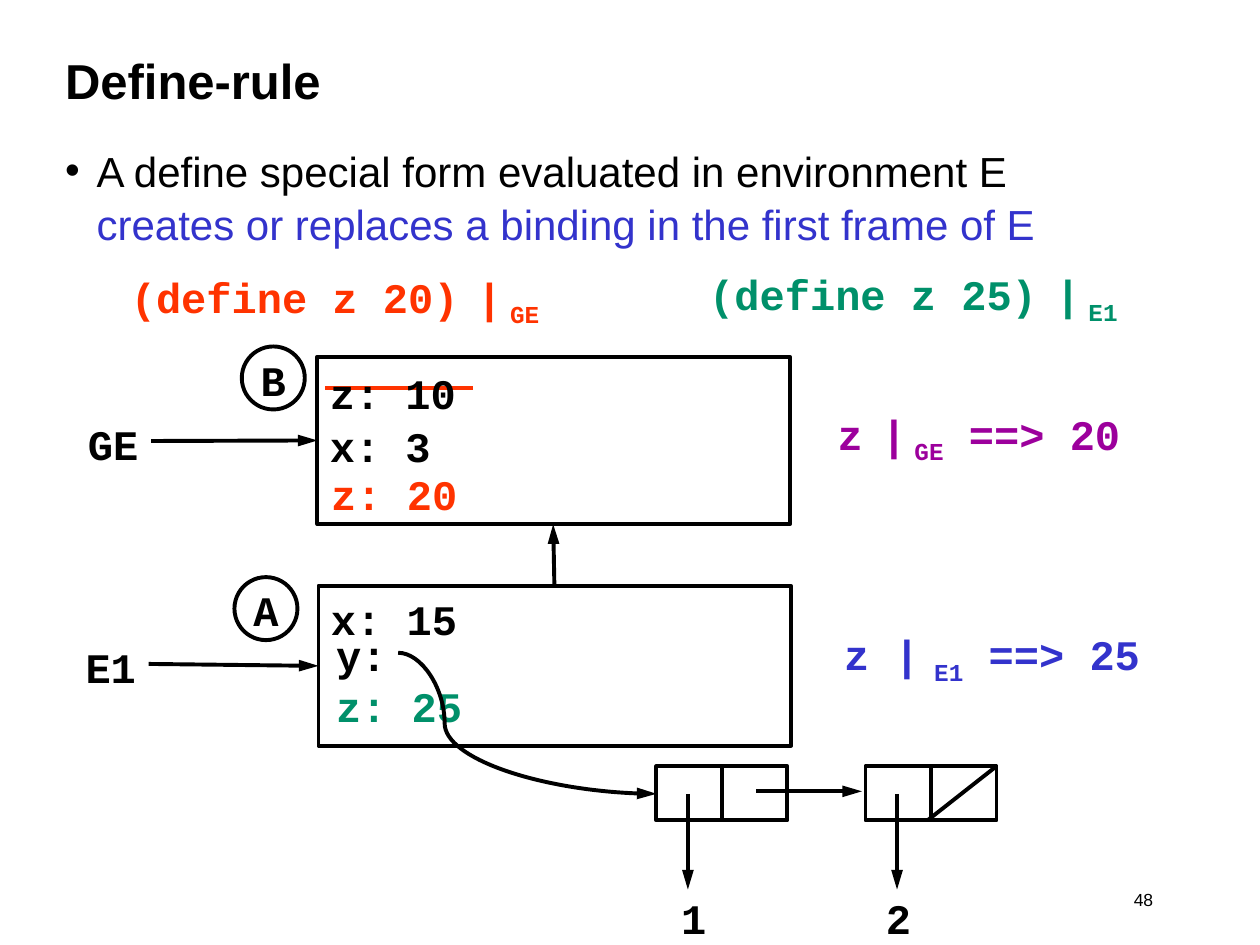
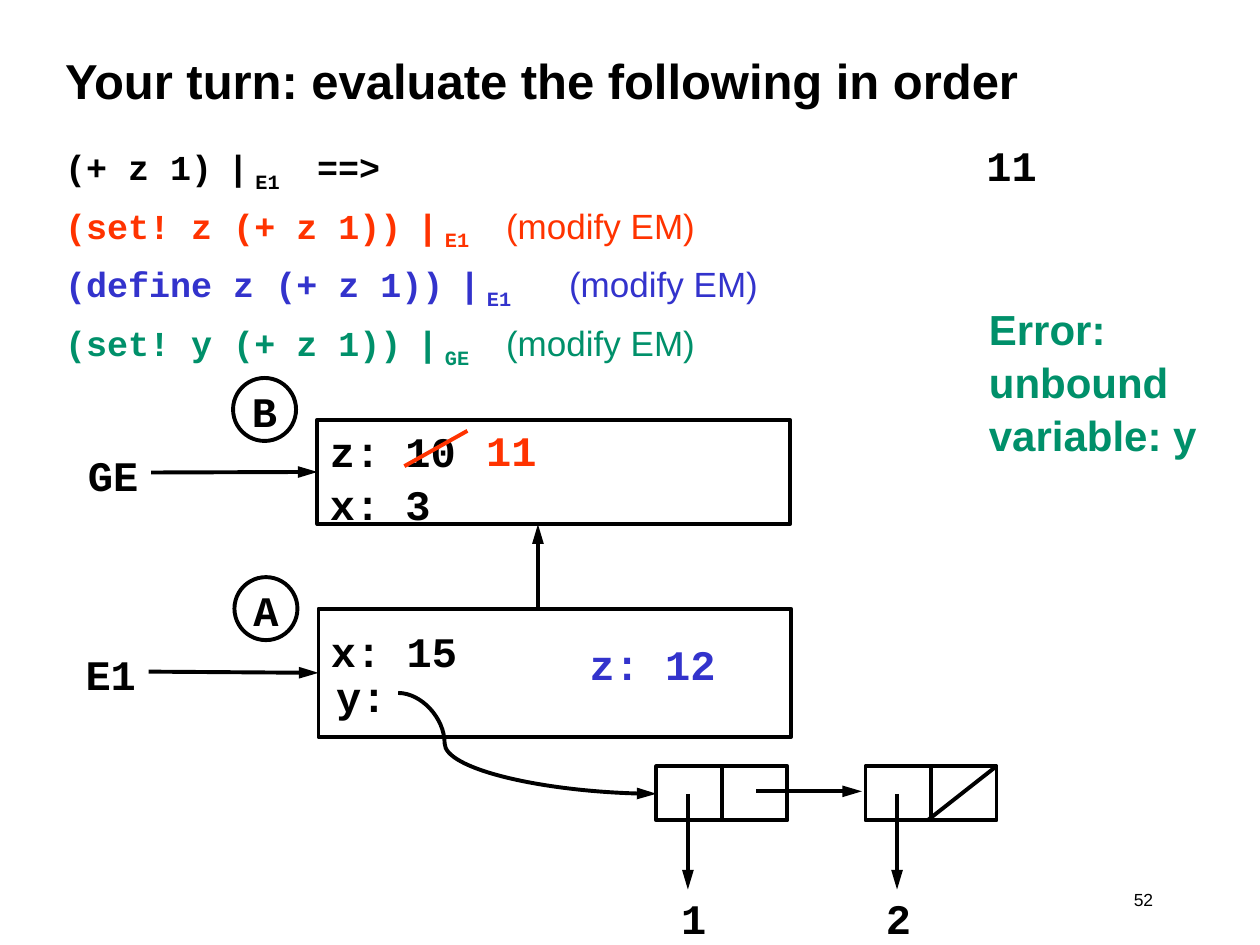
from dataclasses import dataclass

from lxml.etree import SubElement
from pptx import Presentation
from pptx.dml.color import RGBColor
from pptx.enum.shapes import MSO_CONNECTOR as Connector, MSO_SHAPE as Preset
from pptx.enum.text import MSO_ANCHOR as Anchor, MSO_AUTO_SIZE as AutoSize, PP_ALIGN as Align
from pptx.oxml.ns import qn
from pptx.util import Pt


@dataclass(frozen=True)
class Theme:
    sans: str = "Arial"
    mono: str = "Courier New"
    black: str = "000000"
    blue: str = "3333CC"
    red: str = "FF3300"
    green: str = "00906A"
    purple: str = "9C009C"
    title_size: float = 28
    text_size: float = 24
    code_size: float = 20
    number_size: float = 10
    line_width: float = 2.25
    line_spacing: float = 1.05


THEME = Theme()
LABEL_HEIGHT = 36
FRAME_WIDTH = 270
PAIR_WIDTH, PAIR_HEIGHT, PAIR_TOP = 74.9, 31, 437.8
FIRST_PAIR, SECOND_PAIR = 375.1, 494.6


@dataclass(frozen=True)
class Run:
    text: str
    font: str = None
    color: str = None
    bold: bool = None
    subscript: bool = False


def rgb(color):
    return RGBColor.from_string(color)


def evaluated(code, environment, rest=(), bar_font=THEME.sans):
    return [Run(code), Run("|", bar_font), Run(f" {environment}", subscript=True), *rest]


def write(paragraph, runs, color=THEME.black, font=THEME.mono, size=THEME.text_size,
          bold=True, align=Align.LEFT):
    paragraph.alignment = align
    paragraph.line_spacing = THEME.line_spacing
    paragraph.font.name = font
    paragraph.font.size = Pt(size)
    paragraph.font.bold = bold
    paragraph.font.color.rgb = rgb(color)
    for item in [Run(runs)] if isinstance(runs, str) else runs:
        run = paragraph.add_run()
        run.text = item.text
        if item.font:
            run.font.name = item.font
        if item.color:
            run.font.color.rgb = rgb(item.color)
        if item.bold is not None:
            run.font.bold = item.bold
        if item.subscript:
            run._r.get_or_add_rPr().set("baseline", "-25000")


def write_lines(text_frame, lines, **style):
    for index, line in enumerate(lines):
        paragraph = text_frame.add_paragraph() if index else text_frame.paragraphs[0]
        write(paragraph, line, **style)


def place(shape, left, top, width, height):
    shape.left, shape.top, shape.width, shape.height = map(Pt, (left, top, width, height))


def add_label(slide, lines, left, top, width, height=LABEL_HEIGHT, wrap=False,
              anchor=Anchor.TOP, **style):
    shape = slide.shapes.add_textbox(*map(Pt, (left, top, width, height)))
    shape.text_frame.word_wrap = wrap
    shape.text_frame.vertical_anchor = anchor
    write_lines(shape.text_frame, lines, **style)


def add_outline(slide, preset, left, top, width, height):
    shape = slide.shapes.add_shape(preset, *map(Pt, (left, top, width, height)))
    shape.shadow.inherit = False
    shape.fill.background()
    shape.line.color.rgb = rgb(THEME.black)
    shape.line.width = Pt(THEME.line_width)
    return shape


def add_line(slide, start, end, color=THEME.black, arrow=False, kind=Connector.STRAIGHT):
    connector = slide.shapes.add_connector(kind, *map(Pt, (*start, *end)))
    connector.line.color.rgb = rgb(color)
    connector.line.width = Pt(THEME.line_width)
    properties = connector._element.spPr
    if arrow:
        SubElement(properties.find(qn("a:ln")), qn("a:tailEnd"),
                   type="triangle", w="med", len="lg")
    SubElement(properties, qn("a:effectLst"))
    return connector


def add_curved_arrow(slide, start, end, bend):
    connector = add_line(slide, start, end, arrow=True, kind=Connector.CURVE)
    geometry = connector._element.spPr.find(qn("a:prstGeom"))
    adjustments = geometry.find(qn("a:avLst"))
    if adjustments is None:
        adjustments = SubElement(geometry, qn("a:avLst"))
    SubElement(adjustments, qn("a:gd"), name="adj1", fmla=f"val {round(bend * 100000)}")


def add_frame(slide, letter, circle, name, name_place, box, lines, text_top):
    left, top, height = box
    frame = add_outline(slide, Preset.RECTANGLE, left, top, FRAME_WIDTH, height)
    frame.text_frame.word_wrap = True
    frame.text_frame.vertical_anchor = Anchor.TOP
    frame.text_frame.margin_top = Pt(text_top)
    write_lines(frame.text_frame, lines)

    badge = add_outline(slide, Preset.OVAL, *circle, 36, 36)
    badge.text_frame.word_wrap = False
    badge.text_frame.vertical_anchor = Anchor.MIDDLE
    write_lines(badge.text_frame, [letter], align=Align.CENTER)

    name_left, name_top = name_place
    add_label(slide, [name], name_left, name_top, 43.2)
    add_line(slide, (name_left + 43.2, name_top + LABEL_HEIGHT / 2),
             (left, top + height / 2), arrow=True)


def add_pair(slide, left, value, value_left):
    add_outline(slide, Preset.RECTANGLE, left, PAIR_TOP, PAIR_WIDTH, PAIR_HEIGHT)
    middle = left + PAIR_WIDTH / 2
    add_line(slide, (middle, PAIR_TOP), (middle, PAIR_TOP + PAIR_HEIGHT))
    add_line(slide, (left + 18, 453.6), (left + 18, 508.3), arrow=True)
    add_label(slide, [value], value_left, 508.3, 48, 31, anchor=Anchor.MIDDLE,
              align=Align.CENTER)


def add_list(slide, y_top):
    add_label(slide, ["y:"], 185, y_top, 43.2)
    add_curved_arrow(slide, (227.5, y_top + LABEL_HEIGHT / 2), (FIRST_PAIR, 453.6), 0.18)
    add_pair(slide, FIRST_PAIR, "1", 372.4)
    add_pair(slide, SECOND_PAIR, "2", 489.4)
    add_line(slide, (432, 452.2), (492.5, 452.2), arrow=True)
    add_line(slide, (530, PAIR_TOP + PAIR_HEIGHT), (SECOND_PAIR + PAIR_WIDTH, PAIR_TOP))


def set_bullet(paragraph, character=None, indent=0, tab=None):
    properties = paragraph._p.get_or_add_pPr()
    properties.set("marL", str(Pt(indent)))
    properties.set("indent", str(-Pt(indent)))
    if character:
        SubElement(properties, qn("a:buChar"), char=character)
    else:
        SubElement(properties, qn("a:buNone"))
    if tab:
        tabs = SubElement(properties, qn("a:tabLst"))
        SubElement(tabs, qn("a:tab"), pos=str(Pt(tab)), algn="l")


def start_slide(presentation, title, number, body_width, body_height):
    slide = presentation.slides.add_slide(presentation.slide_layouts[1])
    heading, body = slide.shapes.title, slide.placeholders[1]
    place(heading, 30, 12, 612, 66)
    place(body, 30, 78, body_width, body_height)
    for shape, anchor in ((heading, Anchor.MIDDLE), (body, Anchor.TOP)):
        shape.text_frame.auto_size = AutoSize.NONE
        shape.text_frame.word_wrap = True
        shape.text_frame.vertical_anchor = anchor
    write_lines(heading.text_frame, [title], font=THEME.sans, size=THEME.title_size)
    add_label(slide, [number], 491.8, 504, 174.2, 23.8, wrap=True, font=THEME.sans,
              size=THEME.number_size, bold=False, align=Align.RIGHT)
    return slide, body.text_frame


def build_define_rule(presentation):
    slide, body = start_slide(presentation, "Define-rule", "48", 666, 66)
    rule = body.paragraphs[0]
    rule.space_before = Pt(0)
    set_bullet(rule, "•", 18)
    style = dict(font=THEME.sans, bold=False)
    write(rule, "A define special form evaluated in environment E", **style)
    rule.add_line_break()
    write(rule, [Run("creates or replaces a binding in the first frame of E",
                     color=THEME.blue)], **style)

    add_label(slide, [evaluated("(define z 25) ", "E1")], 398.2, 148.3, 247.7, 40.3,
              color=THEME.green)
    add_label(slide, [evaluated("(define z 20) ", "GE")], 67.7, 149.8, 247.7, 40.3,
              color=THEME.red)
    add_line(slide, (185.8, 221.8), (270, 221.8), THEME.red)
    add_frame(slide, "B", (138.2, 198), "GE", (43.2, 234), (181.4, 203.8, 95.8),
              ["z: 10", "x: 3"], 5)
    add_frame(slide, "A", (134, 329.8), "E1", (41.8, 361.4), (182, 334.8, 91.4),
              ["x: 15"], 2.7)
    add_label(slide, ["z: 20"], 182.2, 262.8, 86.4, color=THEME.red)
    add_label(slide, ["z: 25"], 185, 383.8, 86.4, color=THEME.green)
    add_line(slide, (316.8, 334.8), (316.1, 299.6), arrow=True)
    add_list(slide, 355)
    add_label(slide, [evaluated("z ", "GE", [Run(" ==> 20")])], 471.6, 228.2, 190, 40.3,
              wrap=True, color=THEME.purple)
    add_label(slide, [evaluated("z ", "E1", [Run(" ==> 25")], THEME.mono)],
              475.2, 354.2, 190, 40.3, wrap=True, color=THEME.blue)


def build_your_turn(presentation):
    slide, body = start_slide(presentation, "Your turn: evaluate the following in order",
                              "52", 510, 130)
    modify = Run("\t(modify EM)", THEME.sans, bold=False)
    steps = [
        ("(+ z 1) ", "E1", Run("\t==>"), 276, THEME.black),
        ("(set! z (+ z 1)) ", "E1", modify, 296, THEME.red),
        ("(define z (+ z 1)) ", "E1", modify, 291, THEME.blue),
        ("(set! y (+ z 1)) ", "GE", modify, 286.5, THEME.green),
    ]
    for index, (code, environment, outcome, tab, color) in enumerate(steps):
        paragraph = body.add_paragraph() if index else body.paragraphs[0]
        set_bullet(paragraph, tab=tab)
        paragraph.space_before = Pt(5 if index else 0)
        write(paragraph, evaluated(code, environment, [outcome]), color=color,
              size=THEME.code_size)

    add_frame(slide, "A", (134, 329.8), "E1", (41.8, 365.8), (182, 347.8, 73.4),
              ["x: 15"], 8)
    add_frame(slide, "B", (133.2, 216), "GE", (43.2, 252), (181.4, 239.8, 59.8),
              ["z: 10", "x: 3"], 2)
    add_line(slide, (307.4, 347.8), (307.4, 299.6), arrow=True)
    add_list(slide, 378)
    add_label(slide, ["11"], 270.7, 237.6, 43.2, color=THEME.red)
    add_line(slide, (231.1, 266.4), (267.1, 246.2), THEME.red)
    add_label(slide, ["11"], 556.6, 74.9, 43.2)
    add_label(slide, ["z: 12"], 329.8, 360, 86.4, color=THEME.blue)
    add_label(slide, ["Error:", "unbound", "variable: y"], 558, 168.5, 133.2, 93.6,
              color=THEME.green, font=THEME.sans)


def main():
    presentation = Presentation()
    presentation.slide_width, presentation.slide_height = Pt(720), Pt(540)
    build_define_rule(presentation)
    build_your_turn(presentation)
    presentation.save("out.pptx")


if __name__ == "__main__":
    main()
